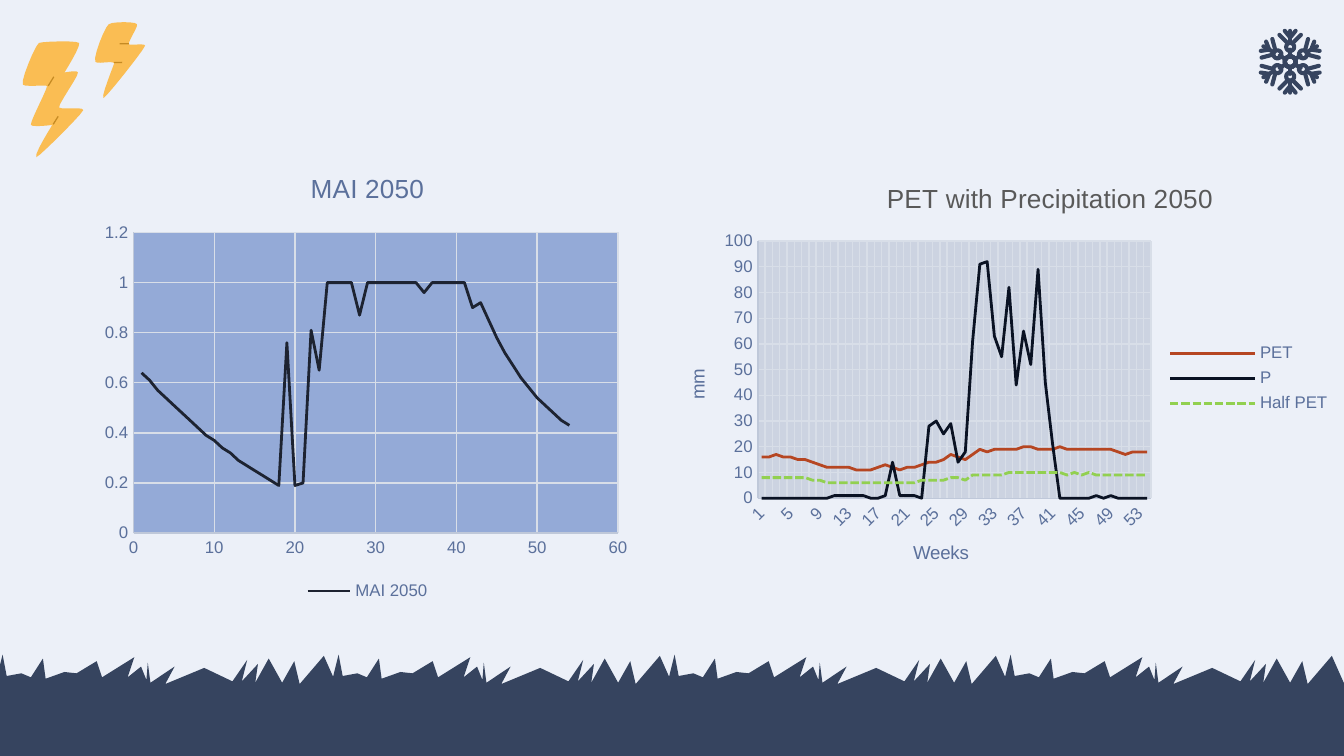
"""Builds a winter slide with a moisture index chart and a rainfall chart for 2050."""
from math import cos, pi, sin

from pptx import Presentation
from pptx.chart.data import CategoryChartData, XyChartData
from pptx.dml.color import RGBColor
from pptx.enum.chart import (XL_CHART_TYPE as Kind, XL_LEGEND_POSITION as Side,
                             XL_MARKER_STYLE as Mark, XL_TICK_MARK as Tick)
from pptx.enum.dml import MSO_LINE as Dash
from pptx.enum.shapes import MSO_SHAPE as Form
from pptx.oxml import parse_xml
from pptx.oxml.ns import nsdecls, qn
from pptx.util import Inches, Pt

HUES = {"sky": "ECF0F8", "navy": "36445F", "bolt": "FABD53", "crease": "C58A23",
        "label": "5B709B", "axis": "BFC8D9", "grid": "D8DEE8", "grey": "595959",
        "blue": "94AAD7", "pale": "CCD3E1", "ink": "1D2331", "rust": "B64622",
        "night": "0A1223", "lime": "92D050"}
GRASS = [
    (-0.03, 5.07), (0.02, 4.87), (0.05, 5.03), (0.16, 5.01), (0.23, 5.04), (0.32, 4.9),
    (0.34, 5.05), (0.48, 5), (0.57, 5.01), (0.72, 4.92), (0.76, 5.04), (1, 4.89),
    (0.95, 5.04), (1.05, 4.96), (1.09, 5.06), (1.1, 4.93), (1.12, 5.08), (1.3, 4.96),
    (1.23, 5.09), (1.52, 4.97), (1.73, 5.07), (1.84, 4.91), (1.8, 5.07), (1.92, 4.94),
    (1.9, 5.08), (2, 4.9), (2.1, 5.08), (2.19, 4.92), (2.23, 5.09), (2.41, 4.88),
    (2.53, 5.15), (-0.03, 5.15)]
BOLTS = [
    [(0.59, 0.32), (0.57, 0.3), (0.31, 0.31), (0.29, 0.32), (0.26, 0.34), (0.15, 0.61),
     (0.17, 0.63), (0.18, 0.65), (0.35, 0.63), (0.35, 0.64), (0.36, 0.65), (0.22, 0.91),
     (0.23, 0.93), (0.24, 0.95), (0.39, 0.93), (0.39, 0.93), (0.39, 0.93), (0.25, 1.15),
     (0.27, 1.17), (0.28, 1.18), (0.62, 0.84), (0.62, 0.82), (0.62, 0.79), (0.46, 0.82),
     (0.44, 0.8), (0.43, 0.78), (0.59, 0.56), (0.58, 0.54), (0.58, 0.52), (0.48, 0.54),
     (0.48, 0.54), (0.48, 0.54), (0.6, 0.35), (0.59, 0.32)],
    [(1.02, 0.18), (1.01, 0.16), (0.84, 0.16), (0.81, 0.18), (0.78, 0.2), (0.69, 0.43),
     (0.71, 0.46), (0.72, 0.48), (0.84, 0.45), (0.85, 0.47), (0.85, 0.48), (0.75, 0.72),
     (0.77, 0.73), (0.78, 0.74), (1.08, 0.36), (1.08, 0.34), (1.08, 0.32), (0.97, 0.34),
     (0.96, 0.33), (0.95, 0.31), (1.03, 0.2), (1.02, 0.18)]]
CREASES = [(0.38, 0.89, 0.07, 302), (0.34, 0.6, 0.08, 301.5),
           (0.85, 0.46, 0.06, 359.4), (0.89, 0.32, 0.07, 0)]
HUB = (9.6, 0.46)
ARM = [[(0.05, 0), (0.09, 0)], [(0.14, 0), (0.23, 0)], [(0.14, 0.02), (0.2, 0.08)],
       [(0.14, -0.02), (0.2, -0.08)], [(0.23, 0.04), (0.18, 0), (0.23, -0.04)]]
MAI = [0.64, 0.61, 0.57, 0.54, 0.51, 0.48, 0.45, 0.42, 0.39, 0.37, 0.34, 0.32, 0.29, 0.27,
       0.25, 0.23, 0.21, 0.19, 0.76, 0.19, 0.2, 0.81, 0.65, 1, 1, 1, 1, 0.87, 1, 1, 1, 1,
       1, 1, 1, 0.96, 1, 1, 1, 1, 1, 0.9, 0.92, 0.85, 0.78, 0.72, 0.67, 0.62, 0.58, 0.54,
       0.51, 0.48, 0.45, 0.43]
RAIN = {
    "PET": [16, 16, 17, 16, 16, 15, 15, 14, 13, 12, 12, 12, 12, 11, 11, 11, 12, 13, 12, 11,
            12, 12, 13, 14, 14, 15, 17, 16, 15, 17, 19, 18, 19, 19, 19, 19, 20, 20, 19, 19,
            19, 20, 19, 19, 19, 19, 19, 19, 19, 18, 17, 18, 18, 18],
    "P": [0, 0, 0, 0, 0, 0, 0, 0, 0, 0, 1, 1, 1, 1, 1, 0, 0, 1, 14, 1, 1, 1, 0, 28, 30, 25,
          29, 14, 18, 61, 91, 92, 63, 55, 82, 44, 65, 52, 89, 45, 21, 0, 0, 0, 0, 0, 1, 0,
          1, 0, 0, 0, 0, 0],
    "Half PET": [8, 8, 8, 8, 8, 8, 8, 7, 7, 6, 6, 6, 6, 6, 6, 6, 6, 6, 6, 6, 6, 6, 7, 7, 7,
                 7, 8, 8, 7, 9, 9, 9, 9, 9, 10, 10, 10, 10, 10, 10, 10, 10, 9, 10, 9, 10, 9,
                 9, 9, 9, 9, 9, 9, 9]}


def tint(name):
    return RGBColor.from_string(HUES[name])


def paint(shape, hue):
    shape.shadow.inherit = False
    shape.fill.solid()
    shape.fill.fore_color.rgb = tint(hue)
    shape.line.fill.background()
    return shape


def trace(slide, paths, close=True):
    paths = [[(Inches(x), Inches(y)) for x, y in path] for path in paths]
    pen = slide.shapes.build_freeform(*paths[0][0])
    for num, path in enumerate(paths):
        if num:
            pen.move_to(*path[0])
        pen.add_line_segments(path[1:], close=close)
    return pen.convert_to_shape()


def smooth(pts, steps=6):
    out = [pts[0]]
    for i in range(0, len(pts) - 1, 3):
        for t in (n / steps for n in range(1, steps + 1)):
            mix = ((1 - t) ** 3, 3 * t * (1 - t) ** 2, 3 * t * t * (1 - t), t ** 3)
            out.append(tuple(sum(m * p[k] for m, p in zip(mix, pts[i:i + 4])) for k in (0, 1)))
    return out


def ring(dist, size):
    return [(dist + size * cos(n * pi / 8), size * sin(n * pi / 8)) for n in range(17)]


def flake(slide):
    paths = []
    for turn in (pi / 6 + n * pi / 3 for n in range(6)):
        for path in ARM + [ring(0.11, 0.03), ring(0, 0.04)]:
            paths.append([(HUB[0] + x * cos(turn) - y * sin(turn),
                           HUB[1] + x * sin(turn) + y * cos(turn)) for x, y in path])
    shape = trace(slide, paths, close=False)
    shape.shadow.inherit = False
    shape.fill.background()
    shape.line.color.rgb, shape.line.width = tint("navy"), Pt(2.2)
    shape.line._get_or_add_ln().set("cap", "rnd")


def place(node, spot, at):
    old = node.find(qn("c:layout"))
    if old is not None:
        node.remove(old)
    body = "".join(f'<c:{k} val="{v}"/>' for k, v in spot.items())
    node.insert(at, parse_xml(
        f'<c:layout {nsdecls("c")}><c:manualLayout>{body}</c:manualLayout></c:layout>'))


def write(title, text, size, hue, x=None, y=None):
    title.text_frame.text = text
    font = title.text_frame.paragraphs[0].runs[0].font
    font.size, font.bold, font.name, font.color.rgb = Pt(size), False, "Arial", tint(hue)
    if x is not None:
        place(title._element, {"xMode": "edge", "yMode": "edge", "x": x, "y": y}, 1)


def style(font, size):
    font.size, font.name, font.color.rgb = Pt(size), "Arial", tint("label")


def plot(slide, kind, data, box, area, fill, side, tops, looks):
    chart = slide.shapes.add_chart(kind, *map(Inches, box), data).chart
    style(chart.font, 10)
    chart.has_legend = True
    chart.legend.position, chart.legend.include_in_layout = side, False
    style(chart.legend.font, 9)
    for axis, top in zip((chart.category_axis, chart.value_axis), tops):
        if top:
            axis.minimum_scale, axis.maximum_scale, axis.major_unit = 0, *top
        axis.has_major_gridlines = True
        axis.major_tick_mark = axis.minor_tick_mark = Tick.NONE
        style(axis.tick_labels.font, 9)
        for line, hue in ((axis.format.line, "axis"), (axis.major_gridlines.format.line, "grid")):
            line.color.rgb, line.width = tint(hue), Pt(0.75)
    for row, (hue, dash) in zip(chart.plots[0].series, looks):
        row.smooth = False
        row.marker.style = Mark.NONE
        row.format.line.color.rgb, row.format.line.width = tint(hue), Pt(1.5)
        if dash:
            row.format.line.dash_style = dash
    root = chart._chartSpace.chart.plotArea
    modes = {"layoutTarget": "inner", "xMode": "edge", "yMode": "edge"}
    place(root, modes | dict(zip("xywh", area)), 0)
    root.append(parse_xml(f'<c:spPr {nsdecls("c", "a")}><a:solidFill>'
                          f'<a:srgbClr val="{HUES[fill]}"/></a:solidFill></c:spPr>'))
    return chart


def main():
    deck = Presentation()
    deck.slide_width = Inches(10)
    deck.slide_height = deck.slide_width * 9 // 16
    slide = deck.slides.add_slide(deck.slide_layouts[6])
    slide.background.fill.solid()
    slide.background.fill.fore_color.rgb = tint("sky")
    top = Inches(5.12)
    paint(slide.shapes.add_shape(Form.RECTANGLE, 0, top, deck.slide_width,
                                 deck.slide_height - top), "navy")
    for n in range(4):
        paint(trace(slide, [[(x + 2.5 * n, y) for x, y in GRASS]]), "navy")
    for bolt in BOLTS:
        paint(trace(slide, [smooth(bolt)]), "bolt")
    for x, y, wide, turn in CREASES:
        box = map(Inches, (x, y, wide, 0.01))
        paint(slide.shapes.add_shape(Form.RECTANGLE, *box), "crease").rotation = turn

    data = XyChartData()
    row = data.add_series("MAI 2050")
    for week, val in enumerate(MAI, 1):
        row.add_data_point(week, val)
    chart = plot(slide, Kind.XY_SCATTER_LINES_NO_MARKERS, data, (0.71, 1.12, 4.05, 3.39),
                 (0.07, 0.18, 0.89, 0.66), "blue", Side.BOTTOM, ((60, 10), (1.2, 0.2)),
                 [("ink", None)])
    chart.value_axis.tick_labels.number_format = "General"
    chart.value_axis.tick_labels.number_format_is_linked = False
    write(chart.chart_title, "MAI 2050", 14, "label")

    data = CategoryChartData()
    data.categories = [str(n) for n in range(1, 55)]
    for name, vals in RAIN.items():
        data.add_series(name, vals)
    chart = plot(slide, Kind.LINE, data, (4.87, 1.22, 5.13, 3.19), (0.15, 0.18, 0.57, 0.6),
                 "pale", Side.RIGHT, (None, (100, 10)),
                 [("rust", None), ("night", None), ("lime", Dash.SQUARE_DOT)])
    write(chart.chart_title, "PET with Precipitation 2050", 14, "grey", 0.33, 0.03)
    write(chart.category_axis.axis_title, "Weeks", 10, "label", 0.37, 0.87)
    write(chart.value_axis.axis_title, "mm", 10, "label", 0.04, 0.47)
    axis = chart.category_axis._element
    axis.find(qn("c:txPr")).find(qn("a:bodyPr")).set("rot", "-2700000")
    axis.find(qn("c:noMultiLvlLbl")).addprevious(
        parse_xml(f'<c:tickLblSkip {nsdecls("c")} val="4"/>'))
    flake(slide)
    deck.save("out.pptx")


if __name__ == "__main__":
    main()
